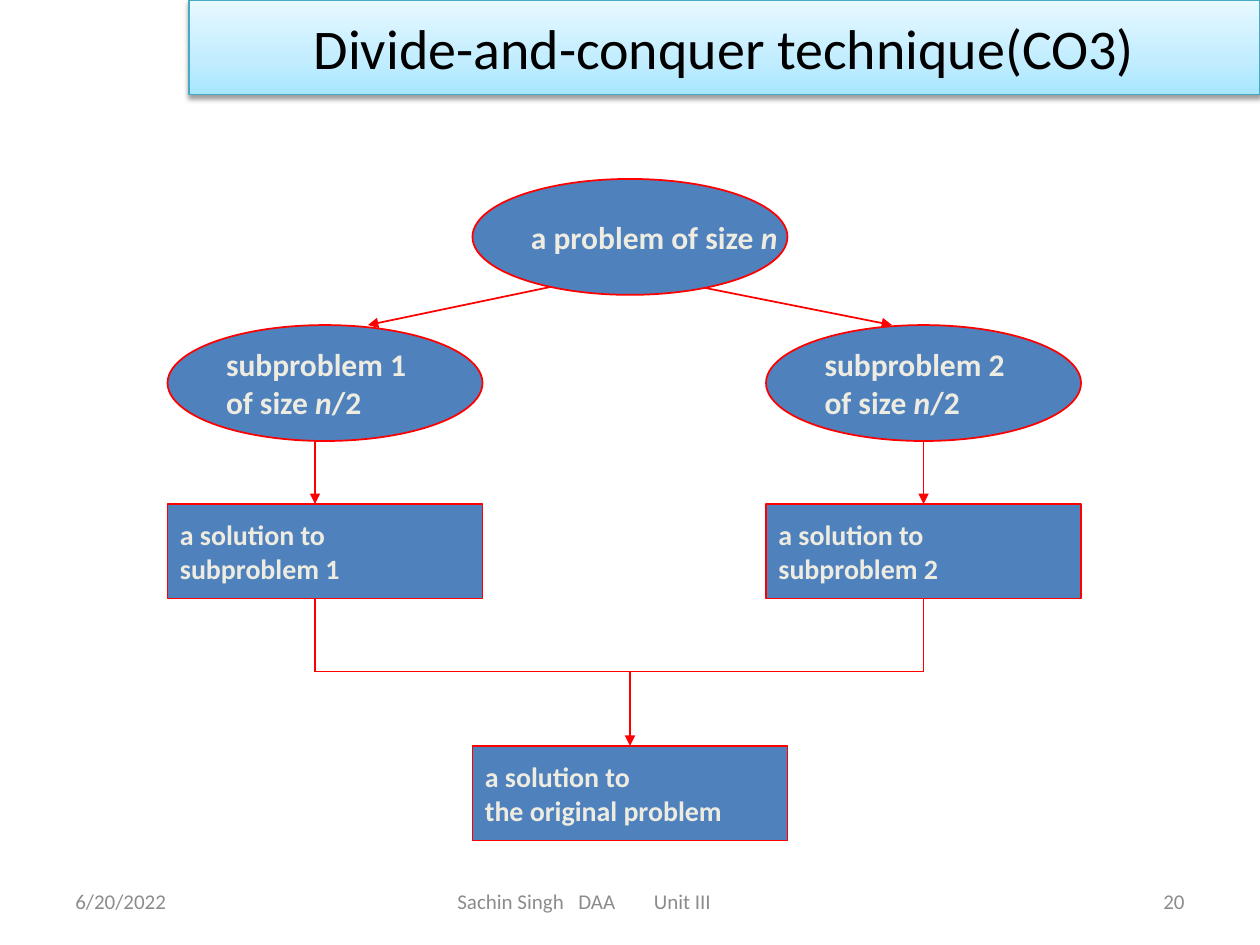
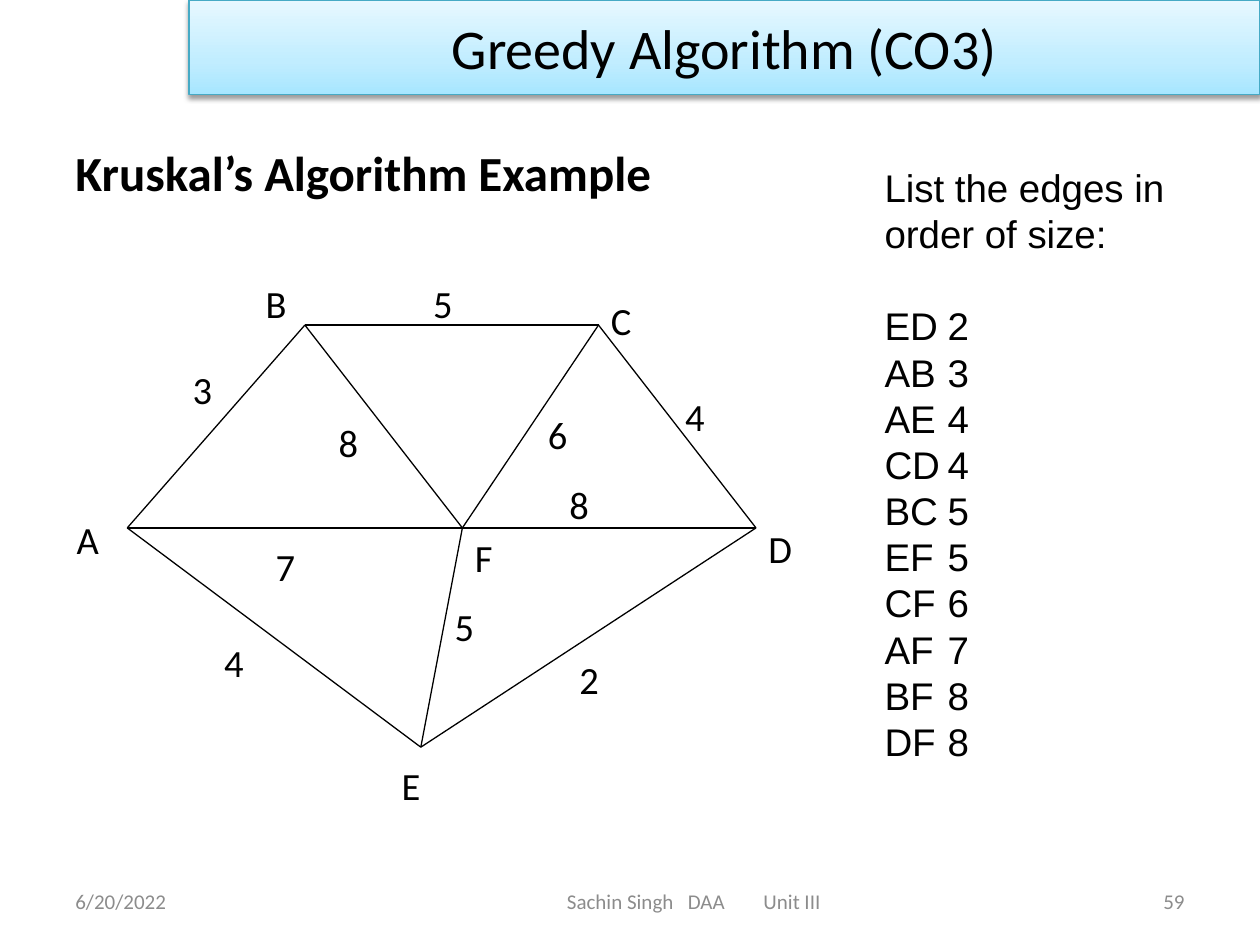
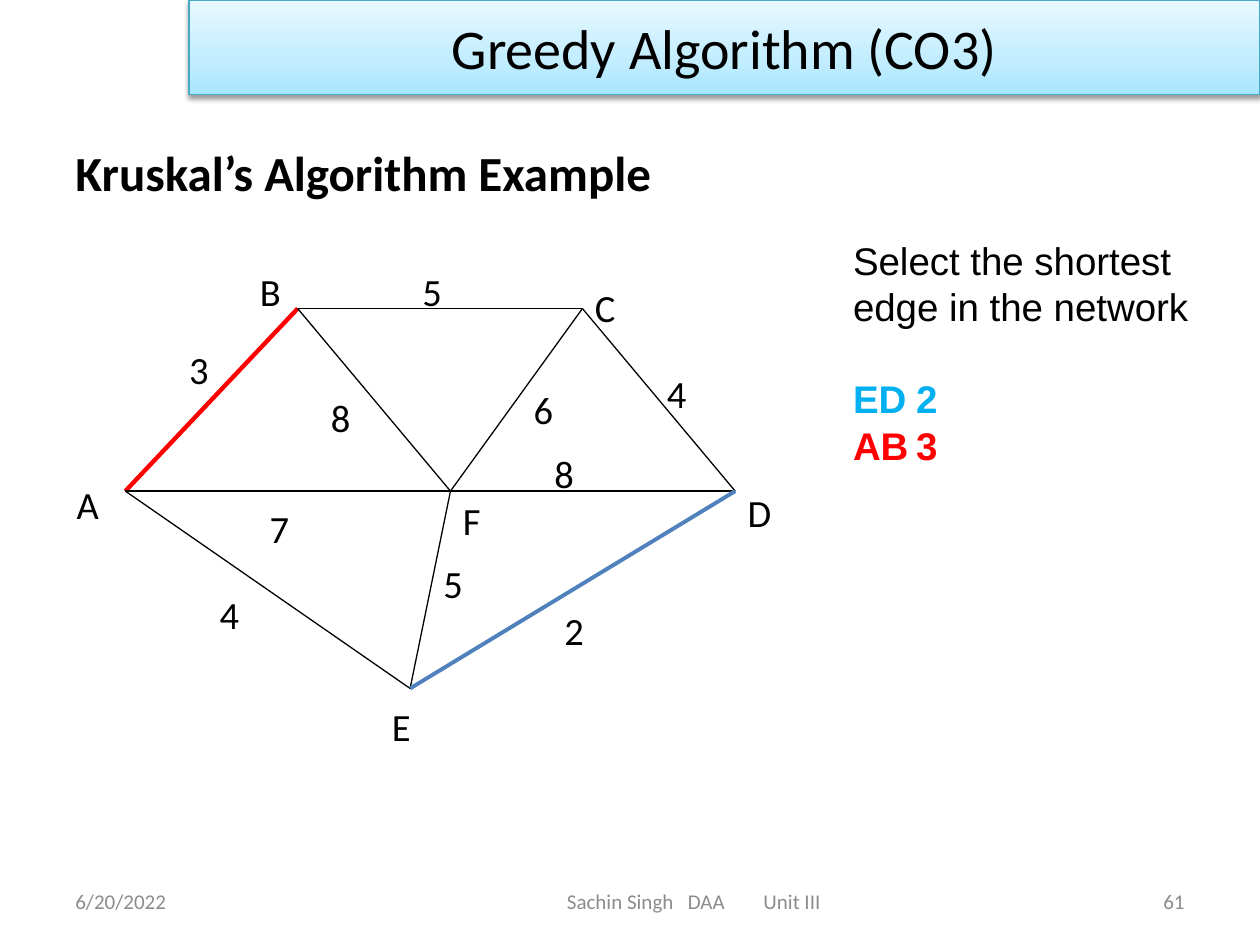
from lxml import etree
from pptx import Presentation
from pptx.dml.color import RGBColor
from pptx.enum import shapes, text
from pptx.oxml.ns import nsdecls, qn
from pptx.util import Inches, Pt

BLACK, RED, BLUE, SKY = "000000", "FF0000", "4F81BD", "00B0F0"
GREY, CREAM, TEAL = "8C8C8C", "EEECE1", "46AAC5"
BAND = [(0, "A7E6FF"), (35, "C1EDFF"), (100, "E7F8FF")]
LEFT, MID, RIGHT = text.PP_ALIGN.LEFT, text.PP_ALIGN.CENTER, text.PP_ALIGN.RIGHT
OVAL, RECT = shapes.MSO_SHAPE.OVAL, shapes.MSO_SHAPE.RECTANGLE

DATE = "6/20/2022"
CREDIT = "Sachin Singh\tDAA\tUnit III"
CREDIT_WIDE, CREDIT_TABS = 2, (0.96, 1.56)
EDGE_TABS = (0.59,)

# Flow chart: shape, left, top, lines; *x* is italic
NODES = [
    (OVAL, 3.75, 1.42, ["a problem of size *n*"]),
    (OVAL, 1.33, 2.58, ["subproblem 1", "of size *n*/2"]),
    (OVAL, 6.08, 2.58, ["subproblem 2", "of size *n*/2"]),
    (RECT, 1.33, 4, ["a solution to", "subproblem 1"]),
    (RECT, 6.08, 4, ["a solution to", "subproblem 2"]),
    (RECT, 3.75, 5.92, ["a solution to", "the original problem"]),
]
SIZES = {OVAL: (0.92, 18), RECT: (0.75, 16)}  # height, font size
SIDES, JOIN = (2.5, 7.33), 5.33

# Weighted graph: corner with its label, edge with weight and label
CORNERS = {
    "A": ((1.01, 4.19), (0.51, 4.05)), "B": ((2.42, 2.58), (2.01, 2.17)),
    "C": ((4.75, 2.58), (4.75, 2.31)), "D": ((6, 4.19), (6, 4.12)),
    "E": ((3.34, 5.93), (3.09, 6)), "F": ((3.67, 4.19), (3.67, 4.19)),
}
EDGES = {
    "AB": (3, (1.43, 2.86)), "BC": (5, (3.34, 2.17)), "CD": (4, (5.34, 3.07)),
    "AF": (7, (2.09, 4.26)), "DF": (8, (4.42, 3.77)), "BF": (8, (2.59, 3.28)),
    "CF": (6, (4.25, 3.21)), "AE": (4, (1.68, 5.02)), "EF": (5, (3.51, 4.74)),
    "ED": (2, (4.5, 5.16)),
}
RANKED = sorted(EDGES, key=lambda name: (EDGES[name][0], name))
RANKED.remove("ED")
RANKED.insert(0, "ED")
ORIGIN = (0.51, 2.17)

GRAPHS = [
    {"page": "59", "box": (6.92, 1.25, 2.75, 5.28), "start": ORIGIN, "scale": (1, 1),
     "intro": ["List the edges in order of size:"],
     "list": [(name, BLACK, False) for name in RANKED], "picks": {}},
    {"page": "61", "box": (6.67, 1.83, 3.08, 2.62), "start": (0.51, 2.08),
     "scale": (0.97, 0.9),
     "intro": ["Select the shortest", "edge in the network"],
     "list": [("ED", SKY, True), ("AB", RED, True)],
     "picks": {"AB": (RED, 2.5), "ED": (BLUE, 2.25)}},
]


def rgb(code):
    return RGBColor.from_string(code)


def place(shape, box):
    for name, size in zip(("left", "top", "width", "height"), box):
        setattr(shape, name, Inches(size))


def style(run, size, code=BLACK, **more):
    look = {"name": "Calibri", "size": Pt(size), **more}
    for name, value in look.items():
        setattr(run.font, name, value)
    run.font.color.rgb = rgb(code)


def add_tabs(para, stops):
    tabs = etree.SubElement(para._p.get_or_add_pPr(), qn("a:tabLst"))
    for stop in stops:
        etree.SubElement(tabs, qn("a:tab"), pos=str(Inches(stop)), algn="l")


def fill_text(frame, lines, size, code=BLACK, align=LEFT, **more):
    """Write the lines as paragraphs, with *x* in italics."""
    for i, line in enumerate(lines):
        para = frame.add_paragraph() if i else frame.paragraphs[0]
        para.alignment = align
        for j, part in enumerate(line.split("*")):
            if part:
                run = para.add_run()
                run.text = part
                style(run, size, code, italic=j % 2 == 1, **more)


def add_text(slide, box, words, size, code=BLACK, align=LEFT, **more):
    frame = slide.shapes.add_textbox(*map(Inches, box)).text_frame
    frame.word_wrap = True
    fill_text(frame, [words], size, code, align, **more)
    return frame


def add_line(slide, start, end, code=BLACK, width=0.75, arrow=False):
    line = slide.shapes.add_connector(
        shapes.MSO_CONNECTOR.STRAIGHT, *map(Inches, (*start, *end)))
    line.line.color.rgb = rgb(code)
    line.line.width = Pt(width)
    props = line._element.spPr
    if arrow:
        etree.SubElement(props.find(qn("a:ln")), qn("a:tailEnd"), type="triangle")
    etree.SubElement(props, qn("a:effectLst"))


def add_band(title, words):
    """Turn the title into the shaded, shadowed band at the top."""
    place(title, (1.5, 0, 8.5, 0.75))
    title.text_frame.auto_size = text.MSO_AUTO_SIZE.NONE
    fill_text(title.text_frame, [words], 32, align=MID)
    props = title._element.spPr
    stops = "".join(f'<a:gs pos="{pos * 1000}"><a:srgbClr val="{code}"/></a:gs>'
                    for pos, code in BAND)
    props.append(etree.fromstring(
        f'<a:gradFill {nsdecls("a")} rotWithShape="1"><a:gsLst>{stops}</a:gsLst>'
        '<a:lin ang="16200000" scaled="0"/></a:gradFill>'))
    title.line.color.rgb = rgb(TEAL)
    title.line.width = Pt(0.75)
    props.append(etree.fromstring(
        f'<a:effectLst {nsdecls("a")}><a:outerShdw blurRad="{Pt(3.1)}" '
        f'dist="{Pt(1.6)}" dir="5400000" rotWithShape="0"><a:srgbClr val="000000">'
        '<a:alpha val="38000"/></a:srgbClr></a:outerShdw></a:effectLst>'))


def add_slide(deck, layout, title, page, left, width):
    """Start a slide with its band and footer; left and width place the credit."""
    slide = deck.slides.add_slide(deck.slide_layouts[layout])
    add_band(slide.shapes.title, title)
    for x, wide, words, align in [(0.5, 2.33, DATE, LEFT), (left, width, CREDIT, LEFT),
                                  (7.17, 2.33, page, RIGHT)]:
        frame = add_text(slide, (x, 6.95, wide, 0.4), words, 12, GREY, align)
        frame.vertical_anchor = text.MSO_ANCHOR.MIDDLE
        if words == CREDIT:
            frame.margin_left = Inches((wide - CREDIT_WIDE) / 2)
            add_tabs(frame.paragraphs[0], CREDIT_TABS)
    return slide


def add_node(slide, kind, left, top, lines):
    high, size = SIZES[kind]
    node = slide.shapes.add_shape(kind, *map(Inches, (left, top, 2.5, high)))
    node.shadow.inherit = False
    node.fill.solid()
    node.fill.fore_color.rgb = rgb(BLUE)
    node.line.color.rgb = rgb(RED)
    node.line.width = Pt(1)
    node.text_frame.word_wrap = False
    fill_text(node.text_frame, lines, size, CREAM, bold=True)


def add_flow(slide):
    arrows = [((4.5, 2.25), (2.92, 2.58)), ((5.42, 2.25), (7.08, 2.58)),
              ((5, JOIN), (5, 5.92))]
    arrows += [((x, 3.5), (x, 4)) for x in SIDES]
    plain = [((x, 4.75), (x, JOIN)) for x in SIDES]
    plain.append(((SIDES[0], JOIN), (SIDES[1], JOIN)))
    for ends in arrows + plain:
        add_line(slide, *ends, RED, 1, ends in arrows)
    for node in NODES:
        add_node(slide, *node)


def add_graph(slide, start, scale, picks):
    def fit(point):
        return [s + (p - o) * k for s, p, o, k in zip(start, point, ORIGIN, scale)]

    for name in EDGES:
        ends = [fit(CORNERS[corner][0]) for corner in name]
        add_line(slide, *ends, *picks.get(name, ()))
    labels = [(name, spot) for name, (_, spot) in CORNERS.items()]
    labels += [(str(weight), spot) for weight, spot in EDGES.values()]
    for words, spot in labels:
        add_text(slide, (*fit(spot), 0.5, 0.47), words, 22)


def add_list(body, box, intro, edges):
    place(body, box)
    frame = body.text_frame
    frame.auto_size = text.MSO_AUTO_SIZE.NONE
    rows = [(line, BLACK, False) for line in intro]
    rows += [(f"{name}\t{EDGES[name][0]}", code, bold) for name, code, bold in edges]
    for i, (words, code, bold) in enumerate(rows):
        para = frame.add_paragraph() if i else frame.paragraphs[0]
        props = para._p.get_or_add_pPr()
        props.set("marL", "0")
        props.set("indent", "0")
        etree.SubElement(props, qn("a:buNone"))
        add_tabs(para, EDGE_TABS)
        para.line_spacing = Pt(26.4)
        para.space_before = Pt(26.4 if i == len(intro) else 0)
        run = para.add_run()
        run.text = words
        style(run, 22, code, name="Arial", bold=bold)


def main():
    deck = Presentation()
    deck.slide_width, deck.slide_height = Inches(10), Inches(7.5)
    add_flow(add_slide(deck, 5, "Divide-and-conquer technique(CO3)", "20", 1.92, 5.42))
    for graph in GRAPHS:
        slide = add_slide(deck, 1, "Greedy Algorithm (CO3)", graph["page"], 2.75, 5.5)
        add_text(slide, (0.5, 1.08, 6.08, 0.57), "Kruskal’s Algorithm Example", 28,
                 bold=True)
        add_graph(slide, graph["start"], graph["scale"], graph["picks"])
        add_list(slide.placeholders[1], graph["box"], graph["intro"], graph["list"])
    deck.save("out.pptx")


if __name__ == "__main__":
    main()
